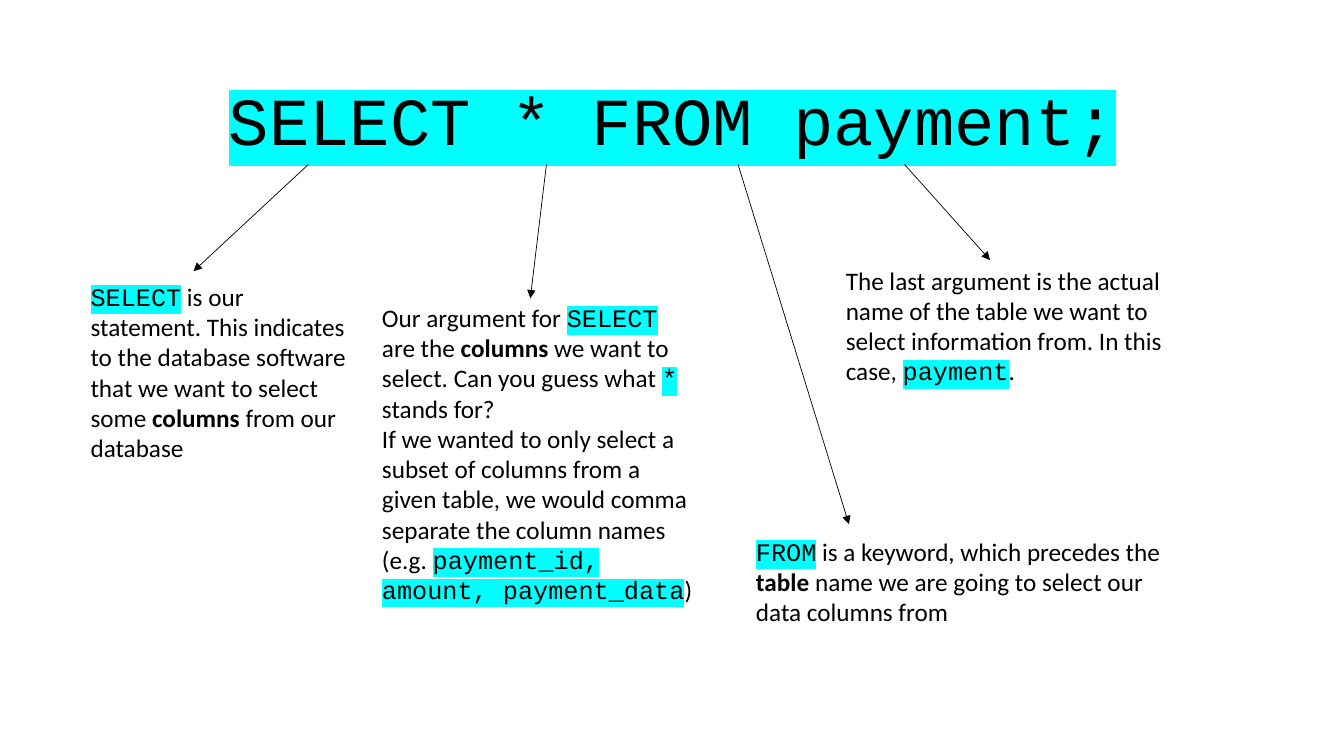
from lxml import etree
from pptx import Presentation
from pptx.dml.color import RGBColor
from pptx.enum.shapes import MSO_CONNECTOR
from pptx.enum.text import MSO_ANCHOR, MSO_AUTO_SIZE, PP_ALIGN
from pptx.oxml.ns import qn
from pptx.util import Inches, Pt

STRAIGHT = MSO_CONNECTOR.STRAIGHT
TOP = MSO_ANCHOR.TOP
FIXED_SIZE = MSO_AUTO_SIZE.NONE
GROW = MSO_AUTO_SIZE.SHAPE_TO_FIT_TEXT
CENTER = PP_ALIGN.CENTER
LEFT = PP_ALIGN.LEFT

BLACK = RGBColor(0x00, 0x00, 0x00)
CYAN = RGBColor(0x00, 0xFF, 0xFF)

PLAIN, BOLD, CODE = "plain", "bold", "code"
TITLE_AND_CONTENT = 1
QUERY_BOTTOM = 1.63

QUERY = "SELECT * FROM payment;"

# Each note: left, top, width, height, paragraphs of (text, style)
NOTES = [
    (0.8, 2.74, 2.76, 2.22, [
        [("SELECT", CODE),
         (" is our statement. This indicates to the database software "
          "that we want to select some ", PLAIN),
         ("columns", BOLD), (" from our database", PLAIN)],
    ]),
    (3.69, 2.95, 3.31, 3.43, [
        [("Our argument for ", PLAIN), ("SELECT", CODE), (" are the ", PLAIN),
         ("columns", BOLD), (" we want to select. Can you guess what ", PLAIN),
         ("*", CODE), (" stands for?", PLAIN)],
        [("If we wanted to only select a subset of columns from a given table, "
          "we would comma separate the column names (e.g. ", PLAIN),
         ("payment_id, amount, payment_data", CODE), (")", PLAIN)],
    ]),
    (7.4, 5.27, 4.5, 1.01, [
        [("FROM", CODE), (" is a keyword, which precedes the ", PLAIN),
         ("table", BOLD),
         (" name we are going to select our data columns from", PLAIN)],
    ]),
    (8.29, 2.58, 3.55, 1.62, [
        [("The last argument is the actual name of the table we want to select "
          "information from. In this case, ", PLAIN),
         ("payment", CODE), (".", PLAIN)],
    ]),
]

# Each arrow: start x under the query, then the tip's x and y
ARROWS = [(3.06, 1.92, 2.69), (5.42, 5.26, 2.96),
          (7.32, 8.42, 5.2), (8.97, 9.82, 2.58)]


class QueryPage:
    """Holds the text style and the page being filled."""

    text_font = "Calibri"
    code_font = "Courier New"
    note_size = 18
    query_size = 48

    def __init__(self, deck):
        self.page = deck.slides.add_slide(deck.slide_layouts[TITLE_AND_CONTENT])

    def add_span(self, para, text, style, size):
        span = para.add_run()
        span.text = text
        font = span.font
        font.size = Pt(size)
        font.bold = style == BOLD
        font.color.rgb = BLACK
        font.name = self.code_font if style == CODE else self.text_font
        if style == CODE:
            highlight = etree.Element(qn("a:highlight"))
            etree.SubElement(highlight, qn("a:srgbClr"), val=str(CYAN))
            span._r.get_or_add_rPr().find(qn("a:solidFill")).addnext(highlight)

    def add_query(self, left, top, width, height, text):
        """Fills the body placeholder with one centred line without a bullet."""
        title = self.page.shapes.title
        title._element.getparent().remove(title._element)
        body = self.page.placeholders[1]
        body.left, body.top = Inches(left), Inches(top)
        body.width, body.height = Inches(width), Inches(height)
        frame = body.text_frame
        frame.auto_size = FIXED_SIZE
        frame.vertical_anchor = TOP
        para = frame.paragraphs[0]
        para.alignment = CENTER
        para.line_spacing = 0.9
        para.space_before = Pt(10)
        properties = para._p.get_or_add_pPr()
        properties.set("marL", "0")
        properties.set("indent", "0")
        etree.SubElement(properties, qn("a:buNone"))
        self.add_span(para, text, CODE, self.query_size)

    def add_note(self, left, top, width, height, paragraphs):
        box = self.page.shapes.add_textbox(
            Inches(left), Inches(top), Inches(width), Inches(height))
        frame = box.text_frame
        frame.word_wrap = True
        frame.auto_size = GROW
        for index, spans in enumerate(paragraphs):
            para = frame.add_paragraph() if index else frame.paragraphs[0]
            para.alignment = LEFT
            for text, style in spans:
                self.add_span(para, text, style, self.note_size)

    def add_arrow(self, start_x, tip_x, tip_y):
        arrow = self.page.shapes.add_connector(
            STRAIGHT, Inches(start_x), Inches(QUERY_BOTTOM),
            Inches(tip_x), Inches(tip_y))
        arrow.line.color.rgb = BLACK
        arrow.line.width = Pt(0.5)
        etree.SubElement(arrow.line._get_or_add_ln(), qn("a:tailEnd"),
                         type="triangle")
        etree.SubElement(arrow._element.spPr, qn("a:effectLst"))


def main():
    deck = Presentation()
    deck.slide_width, deck.slide_height = Inches(13.33), Inches(7.5)
    page = QueryPage(deck)
    page.add_query(0.92, 0.82, 11.5, 4.76, QUERY)
    for arrow, note in zip(ARROWS, NOTES):
        page.add_arrow(*arrow)
        page.add_note(*note)
    deck.save("out.pptx")


if __name__ == "__main__":
    main()
